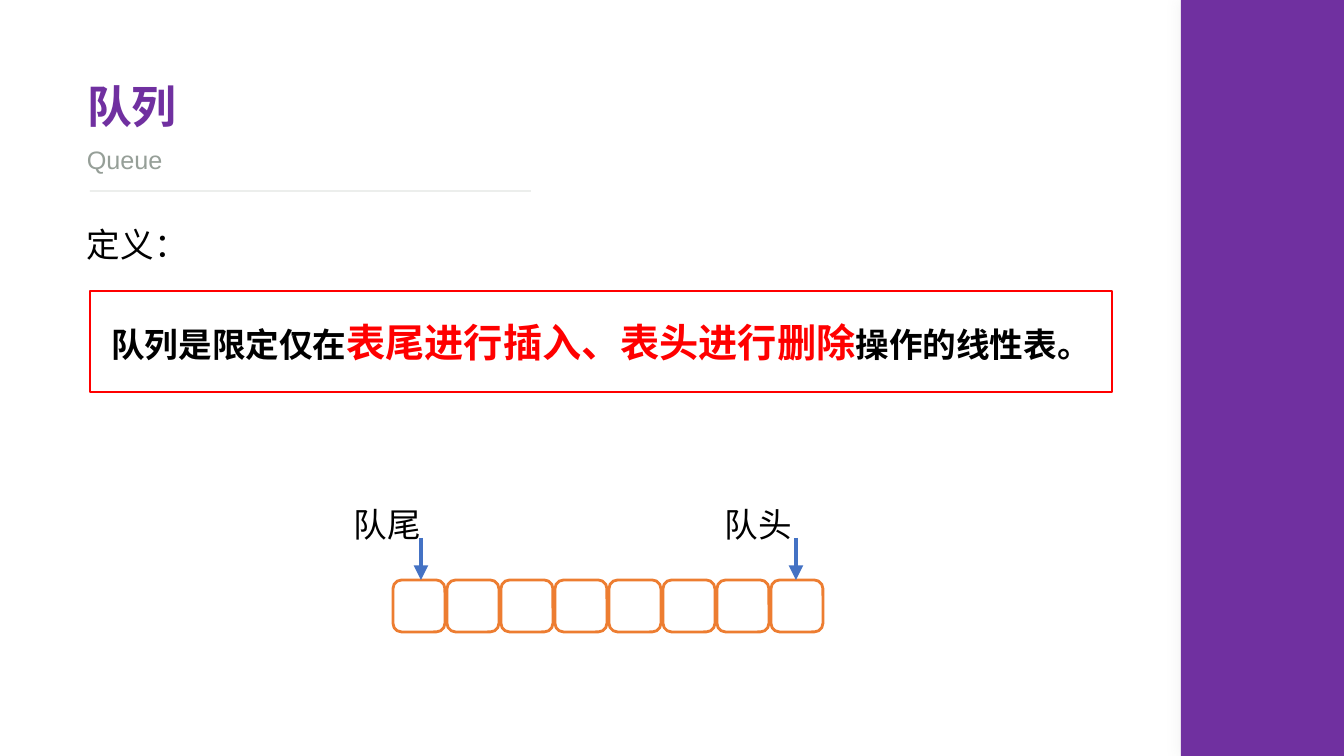
"""Builds a slide that defines the queue and draws its cells."""
import pptx
import pptx.util
import pptx.dml.color
import pptx.enum.shapes
import pptx.enum.text
import pptx.oxml
import pptx.oxml.ns

EMU_PER_PX = 914400 / 100.8
PAGE_WIDTH, PAGE_HEIGHT = 1344, 756
COLOURS = {
    "purple": "7030A0",
    "grey": "969F98",
    "shade": "D5D7D5",
    "black": "000000",
    "white": "FFFFFF",
    "red": "FF0000",
    "orange": "ED7D31",
    "blue": "4472C4",
}
LATIN, CHINESE = "Arial", "Noto Sans CJK SC"
SHAPES = pptx.enum.shapes.MSO_SHAPE
ALIGN = pptx.enum.text.PP_ALIGN
ANCHOR = pptx.enum.text.MSO_ANCHOR


def px(*lengths):
    """Turn pixel lengths into a list of EMU lengths."""
    return [pptx.util.Emu(round(length * EMU_PER_PX)) for length in lengths]


def colour(name):
    """Return the named colour."""
    return pptx.dml.color.RGBColor.from_string(COLOURS[name])


def xml(text):
    """Parse one DrawingML element."""
    return pptx.oxml.parse_xml(text.replace(" ", f' {pptx.oxml.ns.nsdecls("a")} ', 1))


def style(font, size, shade, face=None, bold=None):
    """Set size, colour, face and weight of a font."""
    font.size = pptx.util.Pt(size)
    font.color.rgb = colour(shade)
    if face:
        font.name = face
    if bold is not None:
        font.bold = bold


def add_label(page, box, text, size, shade, face, wrap=True):
    """Add one line of text in the given box."""
    frame = page.shapes.add_textbox(*px(*box)).text_frame
    frame.word_wrap = wrap
    frame.text = text
    style(frame.paragraphs[0].font, size, shade, face)


def add_panel(page, preset, box, fill=None, line=None, width=1):
    """Add a preset shape with plain fill and outline."""
    panel = page.shapes.add_shape(preset, *px(*box))
    panel.shadow.inherit = False
    if fill:
        panel.fill.solid()
        panel.fill.fore_color.rgb = colour(fill)
    else:
        panel.fill.background()
    if line:
        panel.line.color.rgb = colour(line)
        panel.line.width = pptx.util.Pt(width)
    else:
        panel.line.fill.background()
    return panel


def add_line(page, start, end, shade, width):
    """Add a straight connector without shadow."""
    line = page.shapes.add_connector(
        pptx.enum.shapes.MSO_CONNECTOR.STRAIGHT, *px(*start, *end))
    line.line.color.rgb = colour(shade)
    line.line.width = pptx.util.Pt(width)
    line._element.spPr.append(xml("<a:effectLst />"))
    return line


def add_heading(page, left, top):
    """Place title, subtitle and rule from the top left corner."""
    title = page.shapes.title
    title.left, title.top, title.width, title.height = px(left, top, 110, 65)
    frame = title.text_frame
    frame.word_wrap = False
    frame.auto_size = pptx.enum.text.MSO_AUTO_SIZE.NONE
    frame.vertical_anchor = ANCHOR.TOP
    frame.text = "队列"
    frame.paragraphs[0].alignment = ALIGN.LEFT
    style(frame.paragraphs[0].font, 32, "purple", LATIN, True)

    add_label(page, (left, top + 65, 277, 40), "Queue", 18, "grey", LATIN)
    rule = add_line(page, (left + 454, top + 117), (left + 13, top + 117), "grey", 0.5)
    shade = rule._element.spPr.find(".//" + pptx.oxml.ns.qn("a:srgbClr"))
    shade.append(xml('<a:alpha val="50000"/>'))


def add_sidebar(page, left):
    """Fill the page from left to its right edge."""
    bar = add_panel(page, SHAPES.RECTANGLE,
                    (left, 0, PAGE_WIDTH - left, PAGE_HEIGHT), "purple")
    effects = bar._element.spPr.find(pptx.oxml.ns.qn("a:effectLst"))
    effects.append(xml(
        '<a:outerShdw blurRad="127000" dist="0" dir="0">'
        f'<a:srgbClr val="{COLOURS["shade"]}"><a:alpha val="40000"/></a:srgbClr>'
        '</a:outerShdw>'))


def add_definition(page, left, top):
    """Place the definition label and its framed sentence."""
    add_label(page, (left, top, 267, 50), "定义：", 24, "black", LATIN)
    panel = add_panel(page, SHAPES.RECTANGLE, (left + 13, top + 72, 1022, 101),
                      "white", "red")
    frame = panel.text_frame
    frame.word_wrap = True
    frame.vertical_anchor = ANCHOR.MIDDLE
    para = frame.paragraphs[0]
    para.alignment = ALIGN.CENTER
    para.font.name = CHINESE
    para.font.bold = True
    for text, size, shade in (
        ("队列是限定仅在", 24, "black"),
        ("表尾进行插入、表头进行删除", 28, "red"),
        ("操作的线性表。", 24, "black"),
    ):
        span = para.add_run()
        span.text = text
        style(span.font, size, shade)


def add_queue(page, left, top, count=8, size=52, pitch=54):
    """Draw the row of cells with marked tail and head."""
    for index in range(count):
        add_panel(page, SHAPES.ROUNDED_RECTANGLE,
                  (left + index * pitch, top, size, size), line="orange", width=2)
    for text, label_left, arrow_left in (("队尾", -49, 28), ("队头", 322, 403)):
        tip = left + arrow_left
        arrow = add_line(page, (tip, top - 42), (tip, top), "blue", 3.5)
        arrow.line._get_or_add_ln().append(xml('<a:tailEnd type="triangle"/>'))
        add_label(page, (left + label_left, top - 81, 89, 50), text, 24,
                  "black", CHINESE, False)


def main():
    """Build and save the deck."""
    deck = pptx.Presentation()
    deck.slide_width, deck.slide_height = px(PAGE_WIDTH, PAGE_HEIGHT)
    page = deck.slides.add_slide(deck.slide_layouts.get_by_name("Title Only"))
    add_heading(page, 77, 74)
    add_sidebar(page, 1181)
    add_definition(page, 77, 219)
    add_queue(page, 393, 580)
    deck.save("out.pptx")


if __name__ == "__main__":
    main()
